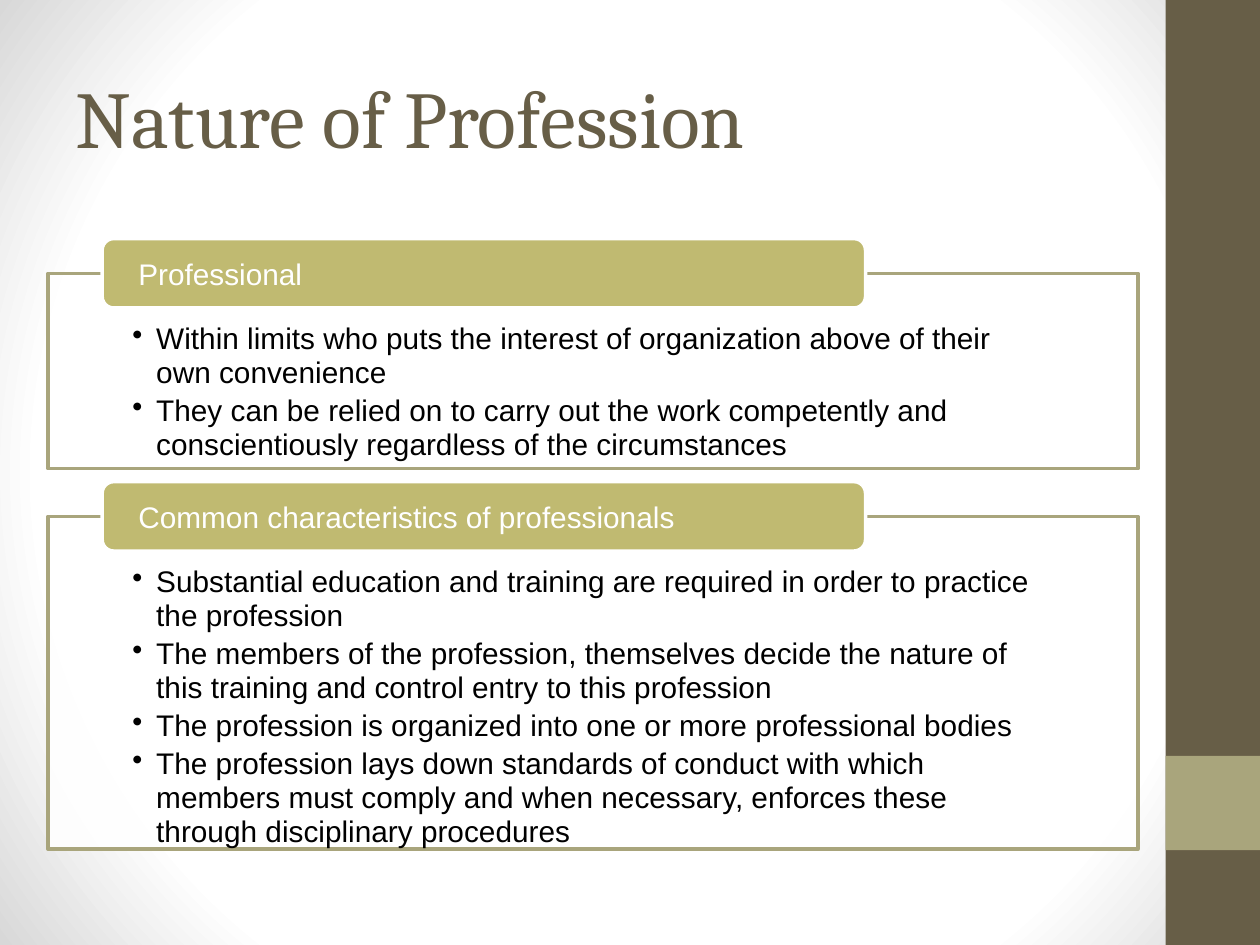
import dataclasses
import typing

import pptx
import pptx.dml.color
import pptx.enum.shapes
import pptx.enum.text
import pptx.oxml
import pptx.oxml.ns
import pptx.shapes.autoshape
import pptx.slide
import pptx.util

Cm = pptx.util.Cm
Pt = pptx.util.Pt
RGB = pptx.dml.color.RGBColor
Shape = pptx.shapes.autoshape.Shape
ShapeType = pptx.enum.shapes.MSO_SHAPE
Anchor = pptx.enum.text.MSO_ANCHOR
Align = pptx.enum.text.PP_ALIGN
qn = pptx.oxml.ns.qn


@dataclasses.dataclass(frozen=True)
class Theme:
    brown: RGB = RGB.from_string("675E47")
    sage: RGB = RGB.from_string("A9A57C")
    olive: RGB = RGB.from_string("C0BA71")
    white: RGB = RGB.from_string("FFFFFF")
    black: RGB = RGB.from_string("000000")
    edge: RGB = RGB.from_string("D8D8D8")
    title_font: str = "Cambria"
    body_font: str = "Arial"
    title_size: int = 46
    body_size: int = 17
    line_width: int = 2
    line_spacing: float = 0.95
    point_gap: float = 2.3


class Box(typing.NamedTuple):
    left: float
    top: float
    width: float
    height: float

    def lengths(self) -> list[pptx.util.Length]:
        return [Cm(value) for value in self]


class Section(typing.NamedTuple):
    heading: str
    top: float
    height: float
    points: list[str]


THEME = Theme()
SLIDE_WIDTH, SLIDE_HEIGHT = 25.4, 19.05
BAND_LEFT, BAND_WIDTH = 23.5, 1.9
FRAME_LEFT, FRAME_WIDTH = 0.97, 21.97
LABEL_LEFT, LABEL_WIDTH, LABEL_HEIGHT = 2.06, 15.39, 1.4
INDENT = 0.48

SECTIONS = [
    Section("Professional", 5.51, 3.94, [
        "Within limits who puts the interest of organization above of their own convenience",
        "They can be relied on to carry out the work competently and conscientiously "
        "regardless of the circumstances",
    ]),
    Section("Common characteristics of professionals", 10.41, 6.71, [
        "Substantial education and training are required in order to practice the profession",
        "The members of the profession, themselves decide the nature of this training "
        "and control entry to this profession",
        "The profession is organized into one or more professional bodies",
        "The profession lays down standards of conduct with which members must comply "
        "and when necessary, enforces these through disciplinary procedures",
    ]),
]


def set_background(slide: pptx.slide.Slide) -> None:
    slide.background.fill.gradient()
    gradient = next(slide.element.iter(qn("a:gradFill")))
    stops = [(0, THEME.white), (75, THEME.white), (100, THEME.edge)]
    stop_xml = "".join(
        f'<a:gs pos="{position * 1000}"><a:srgbClr val="{color}"/></a:gs>'
        for position, color in stops
    )
    gradient.getparent().replace(gradient, pptx.oxml.parse_xml(
        f'<a:gradFill {pptx.oxml.ns.nsdecls("a")} rotWithShape="1">'
        f"<a:gsLst>{stop_xml}</a:gsLst>"
        '<a:path path="circle"><a:fillToRect l="50000" t="50000" r="50000" b="50000"/>'
        "</a:path></a:gradFill>"
    ))


def add_panel(slide: pptx.slide.Slide, kind: ShapeType, box: Box, fill: RGB,
              line: RGB | None = None) -> Shape:
    shape = slide.shapes.add_shape(kind, *box.lengths())
    shape.shadow.inherit = False
    shape.fill.solid()
    shape.fill.fore_color.rgb = fill
    if line is None:
        shape.line.fill.background()
    else:
        shape.line.color.rgb = line
        shape.line.width = Pt(THEME.line_width)
    return shape


def write_text(shape: Shape, texts: list[str], font: str, size: int, color: RGB,
               anchor: Anchor, insets: Box | None = None) -> None:
    frame = shape.text_frame
    frame.word_wrap = True
    frame.vertical_anchor = anchor
    if insets is not None:
        (frame.margin_left, frame.margin_top,
         frame.margin_right, frame.margin_bottom) = insets.lengths()
    frame.text = "\n".join(texts)
    for paragraph in frame.paragraphs:
        paragraph.alignment = Align.LEFT
        paragraph.font.name = font
        paragraph.font.size = Pt(size)
        paragraph.font.color.rgb = color


def add_bullets(shape: Shape) -> None:
    for paragraph in shape.text_frame.paragraphs:
        paragraph.line_spacing = THEME.line_spacing
        paragraph.space_after = Pt(THEME.point_gap)
        properties = paragraph._p.get_or_add_pPr()
        properties.set("marL", str(Cm(INDENT)))
        properties.set("indent", str(-Cm(INDENT)))
        bullet = properties.makeelement(qn("a:buChar"), {"char": "•"})
        properties.insert_element_before(bullet, "a:tabLst", "a:defRPr", "a:extLst")


def set_opacity(shape: Shape, percent: int) -> None:
    color = shape.fill._xPr.find(qn("a:solidFill"))[0]
    color.append(color.makeelement(qn("a:alpha"), {"val": str(percent * 1000)}))


def add_section(slide: pptx.slide.Slide, section: Section) -> None:
    frame = add_panel(slide, ShapeType.RECTANGLE,
                      Box(FRAME_LEFT, section.top, FRAME_WIDTH, section.height),
                      THEME.white, THEME.sage)
    set_opacity(frame, 90)
    write_text(frame, section.points, THEME.body_font, THEME.body_size, THEME.black,
               Anchor.TOP, Box(1.7, 0.99, 1.7, 0.33))
    add_bullets(frame)

    label = add_panel(slide, ShapeType.ROUNDED_RECTANGLE,
                      Box(LABEL_LEFT, section.top - LABEL_HEIGHT / 2,
                          LABEL_WIDTH, LABEL_HEIGHT),
                      THEME.olive, THEME.white)
    write_text(label, [section.heading], THEME.body_font, THEME.body_size, THEME.white,
               Anchor.MIDDLE, Box(0.66, 0, 0.66, 0))


def main() -> None:
    presentation = pptx.Presentation()
    presentation.slide_width = Cm(SLIDE_WIDTH)
    presentation.slide_height = Cm(SLIDE_HEIGHT)
    slide = presentation.slides.add_slide(presentation.slide_layouts[6])
    set_background(slide)

    add_panel(slide, ShapeType.RECTANGLE,
              Box(BAND_LEFT, 0, BAND_WIDTH, SLIDE_HEIGHT), THEME.brown)
    add_panel(slide, ShapeType.RECTANGLE,
              Box(BAND_LEFT, 15.24, BAND_WIDTH, BAND_WIDTH), THEME.sage)

    title = slide.shapes.add_textbox(*Box(1.27, 0.76, 21.16, 3.18).lengths())
    write_text(title, ["Nature of Profession"], THEME.title_font, THEME.title_size,
               THEME.brown, Anchor.MIDDLE)

    for section in SECTIONS:
        add_section(slide, section)
    presentation.save("out.pptx")


if __name__ == "__main__":
    main()
